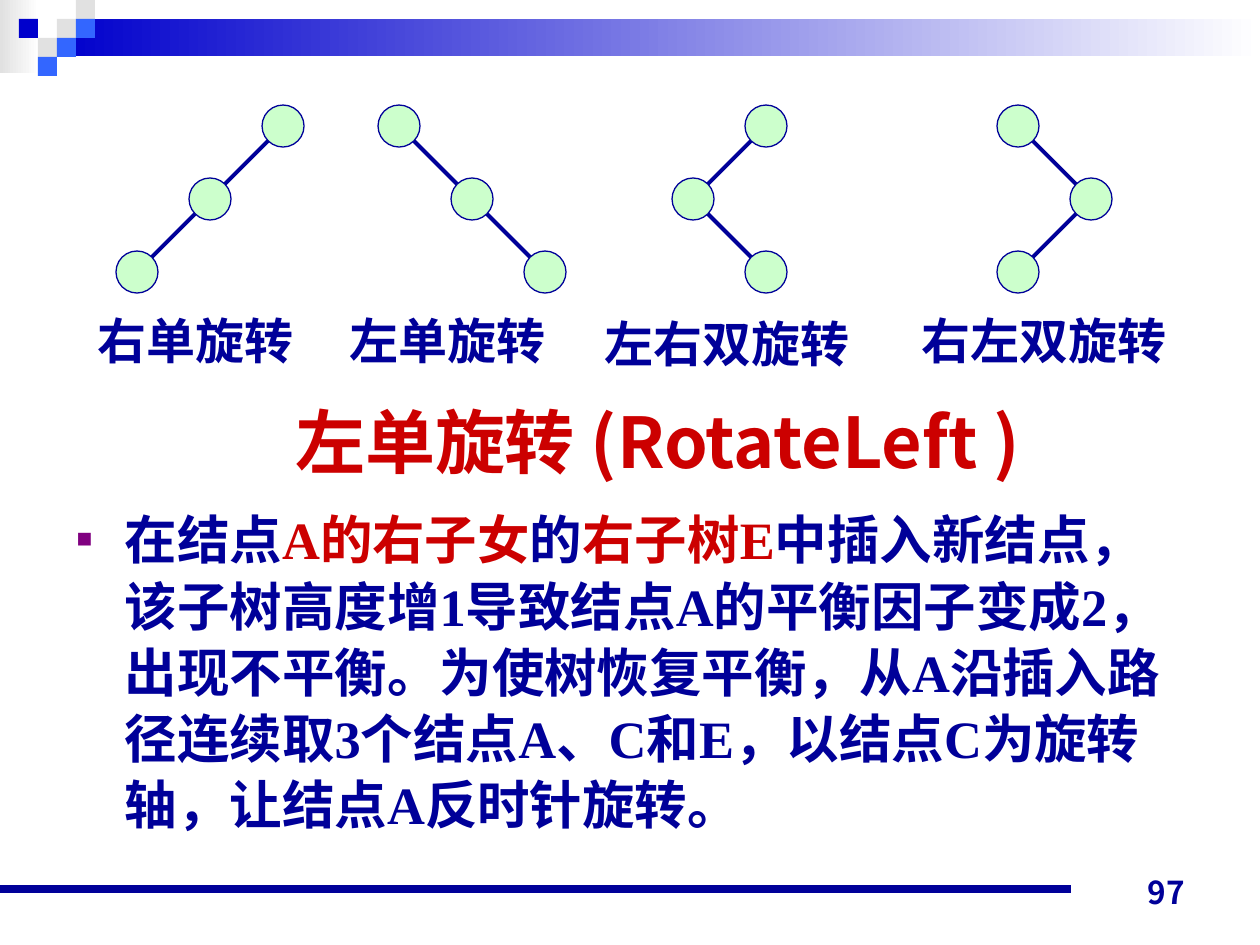
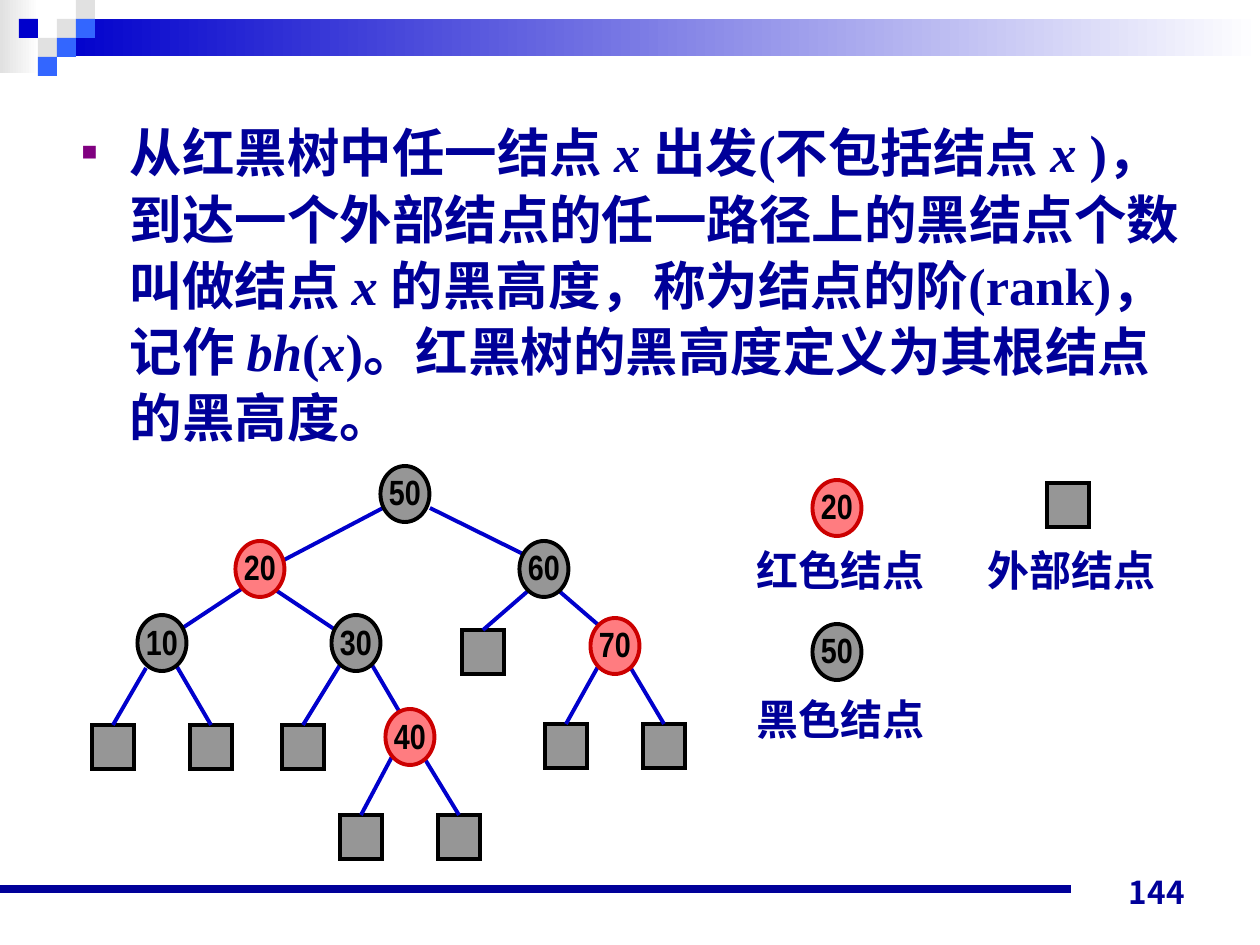
from dataclasses import dataclass

from lxml.etree import SubElement
from pptx import Presentation
from pptx.dml.color import RGBColor
from pptx.enum.shapes import MSO_CONNECTOR as Connector, MSO_SHAPE as Shape
from pptx.enum.text import MSO_ANCHOR as Anchor, MSO_AUTO_SIZE as AutoSize, PP_ALIGN as Align
from pptx.oxml.ns import qn
from pptx.util import Emu, Pt

PX_PER_INCH = 126


@dataclass(frozen=True)
class Theme:
    navy: str = "000099"
    blue: str = "0000CC"
    sky: str = "3366FF"
    mist: str = "E1E1E1"
    white: str = "FFFFFF"
    red: str = "CC0000"
    pink: str = "FF7C80"
    grey: str = "969696"
    black: str = "000000"
    mint: str = "CCFFCC"
    purple: str = "800080"
    serif: str = "Times New Roman"
    narrow: str = "Arial Narrow"
    cjk: str = "Noto Sans CJK JP"
    title: int = 40
    body: int = 30
    caption: int = 28
    legend: int = 24
    key: int = 20
    page: int = 18


THEME = Theme()
CELL = 19
CIRCLE = 42
STEP = 73
TRIM = 10
NODE = (49, 56)
LEAF = (42, 44)

ROTATIONS = [
    ("右单旋转", (85, 304), (283, 126), (-1, -1)),
    ("左单旋转", (337, 304), (399, 126), (1, 1)),
    ("左右双旋转", (592, 307), (766, 126), (-1, 1)),
    ("右左双旋转", (909, 304), (1018, 126), (1, -1)),
]

ROTATE_LEFT_TEXT = [
    ("在结点", ""),
    ("A的右子女", "red"),
    ("的", ""),
    ("右子树E", "red"),
    ("中插入新结点，该子树高度增1导致结点A的平衡因子变成2，出现不平衡。"
     "为使树恢复平衡，从A沿插入路径连续取3个结点A、C和E，"
     "以结点C为旋转轴，让结点A反时针旋转。", ""),
]

BLACK_HEIGHT_TEXT = [
    ("从红黑树中任一结点 ", ""),
    ("x ", "italic"),
    ("出发(不包括结点 ", ""),
    ("x", "italic"),
    (" )，到达一个外部结点的任一路径上的黑结点个数叫做结点 ", ""),
    ("x ", "italic"),
    ("的黑高度，称为结点的阶(rank)，记作 ", ""),
    ("bh", "italic"),
    ("(", ""),
    ("x", "italic"),
    (")。红黑树的黑高度定义为其根结点的黑高度。", ""),
]

TREE_NODES = {
    "50": (405, 494), "20": (260, 569), "60": (544, 569), "10": (162, 643),
    "30": (356, 643), "70": (615, 646), "40": (410, 737),
}
RED_KEYS = {"20", "40", "70"}
TREE_EDGES = [
    ((383, 508), (282, 561)), ((430, 508), (523, 554)), ((243, 588), (181, 629)),
    ((277, 591), (334, 629)), ((559, 591), (610, 635)), ((372, 665), (406, 723)),
]
TREE_LEAVES = [
    ((146, 668), (113, 747)), ((176, 665), (211, 747)), ((340, 665), (303, 747)),
    ((394, 753), (361, 837)), ((423, 756), (459, 837)), ((528, 591), (483, 652)),
    ((600, 663), (566, 746)), ((629, 665), (664, 746)),
]


def px(length):
    return Emu(round(length * 914400 / PX_PER_INCH))


def rgb(colour):
    return RGBColor.from_string(colour)


def place(shape, left, top, width, height):
    shape.left, shape.top, shape.width, shape.height = map(px, (left, top, width, height))


def style_paragraph(paragraph, size, colour, latin, align=Align.LEFT):
    paragraph.alignment = align
    paragraph.space_before = Pt(0)
    font = paragraph.font
    font.size, font.bold, font.name = Pt(size), True, latin
    font.color.rgb = rgb(colour)
    defaults = paragraph._p.get_or_add_pPr().find(qn("a:defRPr"))
    SubElement(defaults, qn("a:ea"), typeface=THEME.cjk)


def add_box(slide, preset, box, fill, line=None, weight=2.25):
    shape = slide.shapes.add_shape(preset, *map(px, box))
    shape.shadow.inherit = False
    shape.fill.solid()
    shape.fill.fore_color.rgb = rgb(fill)
    if line:
        shape.line.color.rgb = rgb(line)
        shape.line.width = Pt(weight)
        SubElement(shape.element.spPr.find(qn("a:ln")), qn("a:miter"), lim="800000")
    else:
        shape.line.fill.background()
    return shape


def add_gradient(slide, box, start):
    shape = add_box(slide, Shape.RECTANGLE, box, start)
    shape.fill.gradient()
    shape.fill.gradient_angle = 0
    for stop, colour in zip(shape.fill.gradient_stops, (start, THEME.white)):
        stop.color.rgb = rgb(colour)


def centred(centre, size):
    return (centre[0] - size[0] / 2, centre[1] - size[1] / 2, *size)


def add_line(slide, start, end, colour, weight=2.25):
    line = slide.shapes.add_connector(Connector.STRAIGHT, *map(px, (*start, *end)))
    line.line.color.rgb = rgb(colour)
    line.line.width = Pt(weight)
    SubElement(line.element.spPr, qn("a:effectLst"))
    return line


def add_label(slide, text, box, size, latin=THEME.serif, align=Align.LEFT, anchor=Anchor.TOP):
    label = slide.shapes.add_textbox(*map(px, box))
    frame = label.text_frame
    frame.word_wrap = True
    frame.vertical_anchor = anchor
    frame.text = text
    style_paragraph(frame.paragraphs[0], size, THEME.navy, latin, align)


def add_node(slide, key, centre):
    fill, line = (THEME.pink, THEME.red) if key in RED_KEYS else (THEME.grey, THEME.black)
    node = add_box(slide, Shape.OVAL, centred(centre, NODE), fill, line)
    frame = node.text_frame
    frame.margin_left = frame.margin_right = frame.margin_top = 0
    frame.margin_bottom = px(4)
    frame.word_wrap = False
    frame.vertical_anchor = Anchor.MIDDLE
    frame.text = key
    style_paragraph(frame.paragraphs[0], THEME.key, THEME.black, THEME.narrow, Align.CENTER)


def add_leaf(slide, centre):
    return add_box(slide, Shape.RECTANGLE, centred(centre, LEAF), THEME.grey, THEME.black)


def fill_title(slide, text, box):
    title = slide.shapes.title
    place(title, *box)
    frame = title.text_frame
    frame.text = text
    frame.auto_size = AutoSize.NONE
    frame.vertical_anchor = Anchor.MIDDLE
    style_paragraph(frame.paragraphs[0], THEME.title, THEME.red, THEME.cjk, Align.CENTER)


def add_bullet(paragraph):
    properties = paragraph._p.get_or_add_pPr()
    properties.set("marL", str(px(48)))
    properties.set("indent", str(-px(48)))
    properties.set("hangingPunct", "0")
    SubElement(SubElement(properties, qn("a:buClr")), qn("a:srgbClr"), val=THEME.purple)
    SubElement(properties, qn("a:buSzPct"), val="50000")
    SubElement(properties, qn("a:buChar"), char="■")


def fill_body(slide, runs, box):
    body = slide.placeholders[1]
    place(body, *box)
    frame = body.text_frame
    frame.auto_size = AutoSize.NONE
    frame.vertical_anchor = Anchor.TOP
    paragraph = frame.paragraphs[0]
    add_bullet(paragraph)
    paragraph.line_spacing = 1.05
    style_paragraph(paragraph, THEME.body, THEME.navy, THEME.serif)
    for text, mark in runs:
        run = paragraph.add_run()
        run.text = text
        if mark == "red":
            run.font.color.rgb = rgb(THEME.red)
        elif mark == "italic":
            run.font.italic = True


def add_page_number(slide, number):
    add_label(slide, number, (903, 854, 294, 63), THEME.page, THEME.cjk, Align.RIGHT, Anchor.BOTTOM)


def decorate_master(presentation, slide):
    add_gradient(slide, (0, 0, 39, 73), THEME.mist)
    add_gradient(slide, (57, 19, 1203, 37), THEME.blue)
    mosaic = [
        (3, 1, THEME.mist), (4, 0, THEME.mist), (4, 1, THEME.sky), (2, 2, THEME.mist),
        (1, 1, THEME.blue), (3, 2, THEME.sky), (2, 3, THEME.sky),
    ]
    for column, row, colour in mosaic:
        add_box(slide, Shape.RECTANGLE, (column * CELL, row * CELL, CELL, CELL), colour)
    add_line(slide, (0, 889), (1071, 889), THEME.navy, 4.5)
    master_tree = presentation.slide_master.element.cSld.spTree
    decorations = [shape for shape in slide.shapes if not shape.is_placeholder]
    for number, shape in enumerate(decorations, 101):
        shape.element.xpath(".//p:cNvPr")[0].set("id", str(number))
        master_tree.append(shape.element)


def add_rotation(slide, name, label_at, root, turns):
    first, second = turns
    middle = (root[0] + first * STEP, root[1] + STEP)
    last = (middle[0] + second * STEP, middle[1] + STEP)
    if first == second:
        start = (root[0] + first * TRIM, root[1] + TRIM)
        end = (last[0] - first * TRIM, last[1] - TRIM)
        add_line(slide, start, end, THEME.navy)
    else:
        for outer, rise in ((root, -TRIM), (last, TRIM)):
            add_line(slide, (middle[0] + second * TRIM, middle[1] + rise), outer, THEME.navy)
    for centre in (root, middle, last):
        add_box(slide, Shape.OVAL, centred(centre, (CIRCLE, CIRCLE)), THEME.mint, THEME.navy, 0.75)
    add_label(slide, name, (*label_at, 49 * len(name) + 28, 72), THEME.caption)


def add_tree(slide):
    for start, centre in TREE_LEAVES:
        leaf = add_leaf(slide, centre)
        line = add_line(slide, start, (centre[0], centre[1] - LEAF[1] / 2), THEME.blue)
        line.end_connect(leaf, 0)
    for start, end in TREE_EDGES:
        add_line(slide, start, end, THEME.blue)
    for key, centre in TREE_NODES.items():
        add_node(slide, key, centre)


def add_legend(slide):
    add_node(slide, "20", (837, 508))
    add_node(slide, "50", (837, 652))
    add_leaf(slide, (1068, 505))
    for text, left, top in (("红色结点", 744, 538), ("黑色结点", 744, 687), ("外部结点", 975, 538)):
        add_label(slide, text, (left, top, 220, 70), THEME.legend)


def build_rotation_slide(slide):
    for rotation in ROTATIONS:
        add_rotation(slide, *rotation)
    fill_title(slide, "左单旋转 (RotateLeft )", (263, 399, 789, 84))
    fill_body(slide, ROTATE_LEFT_TEXT, (64, 498, 1134, 367))
    add_page_number(slide, "97")


def build_black_height_slide(slide):
    title = slide.shapes.title.element
    title.getparent().remove(title)
    fill_body(slide, BLACK_HEIGHT_TEXT, (69, 111, 1134, 348))
    add_tree(slide)
    add_legend(slide)
    add_page_number(slide, "144")


def main():
    presentation = Presentation()
    presentation.slide_width, presentation.slide_height = px(1260), px(945)
    layout = presentation.slide_layouts[1]
    rotation_slide = presentation.slides.add_slide(layout)
    decorate_master(presentation, rotation_slide)
    build_rotation_slide(rotation_slide)
    build_black_height_slide(presentation.slides.add_slide(layout))
    presentation.save("out.pptx")


if __name__ == "__main__":
    main()
